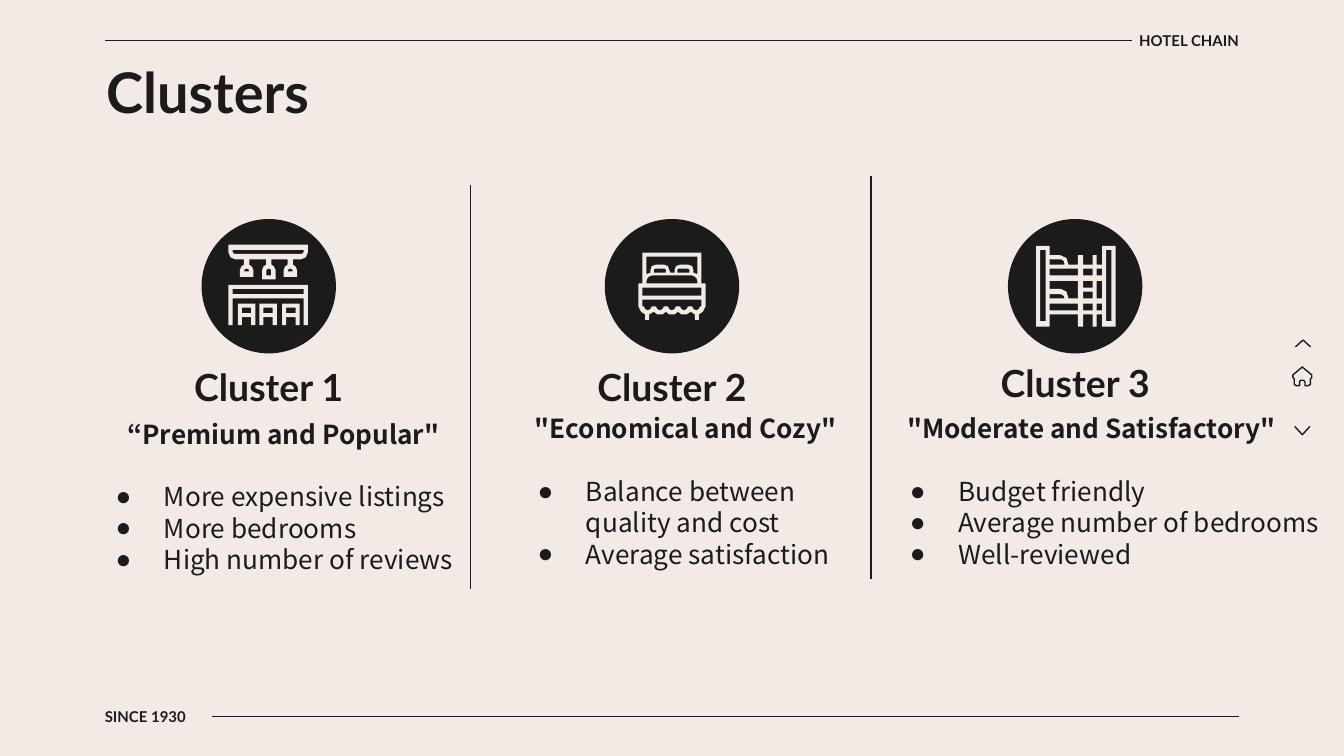
import math

import pptx
import pptx.dml.color
import pptx.enum.shapes
import pptx.enum.text
import pptx.oxml
import pptx.oxml.ns
import pptx.util
from pptx.util import Inches

SHAPE = pptx.enum.shapes.MSO_SHAPE
ALIGN = pptx.enum.text.PP_ALIGN
ANCHOR = pptx.enum.text.MSO_ANCHOR
LEFT_SIDE, RIGHT_SIDE = 1, 3


def rgb(value):
    return pptx.dml.color.RGBColor.from_string(value)


def xml(tag, content=""):
    namespace = pptx.oxml.ns.nsdecls("a")
    return pptx.oxml.parse_xml(f"<a:{tag} {namespace}>{content}</a:{tag.split()[0]}>")


class Deck:
    ink, paper = "1B1B1B", "F4EAE5"
    heading_font, body_font = "Lato", "Noto Sans CJK KR"
    body_size, body_pitch = 14, 16.8

    def __init__(self):
        self.file = pptx.Presentation()
        self.file.slide_width = Inches(10)
        self.file.slide_height = Inches(10) * 9 // 16
        self.slide = self.file.slides.add_slide(self.file.slide_layouts[4])
        self.slide.background.fill.solid()
        self.slide.background.fill.fore_color.rgb = rgb(self.paper)

    def frame(self, shape, anchor):
        frame = shape.text_frame
        frame.word_wrap = True
        frame.auto_size = pptx.enum.text.MSO_AUTO_SIZE.NONE
        frame.vertical_anchor = anchor
        frame.margin_left = frame.margin_right = 0
        frame.margin_top = frame.margin_bottom = 0
        return frame

    def place(self, shape, left, top, width, height):
        shape.left, shape.top = Inches(left), Inches(top)
        shape.width, shape.height = Inches(width), Inches(height)

    def run(self, paragraph, text, font, size, bold):
        run = paragraph.add_run()
        run.text = text
        run.font.name, run.font.size = font, pptx.util.Pt(size)
        run.font.bold, run.font.color.rgb = bold, rgb(self.ink)

    def title(self, text, *box):
        title = self.slide.shapes.title
        self.place(title, *box)
        paragraph = self.frame(title, ANCHOR.TOP).paragraphs[0]
        paragraph.alignment = ALIGN.LEFT
        self.run(paragraph, text, self.heading_font, 30, True)

    def label(self, text, box, size, align):
        label = self.slide.shapes.add_textbox(*map(Inches, box))
        paragraph = self.frame(label, ANCHOR.MIDDLE).paragraphs[0]
        paragraph.alignment = align
        self.run(paragraph, text, self.heading_font, size, True)
        return label

    def profile(self, index, box, name, traits, align, indent):
        """Fill a body placeholder with a bold name and its bulleted traits."""
        body = self.slide.placeholders[index]
        self.place(body, *box)
        frame = self.frame(body, ANCHOR.TOP)
        for row, text in enumerate([name, *traits]):
            paragraph = frame.add_paragraph() if row else frame.paragraphs[0]
            settings = paragraph._p.get_or_add_pPr()
            settings.set("marL", str(Inches(0.5 if row else indent)))
            settings.set("indent", str(Inches(-0.36 if row else 0)))
            if row:
                settings.append(xml("buClr", f'<a:srgbClr val="{self.ink}"/>'))
                settings.append(xml('buChar char="●"'))
            else:
                settings.append(xml("buNone"))
            paragraph.alignment = ALIGN.LEFT if row else align
            paragraph.line_spacing = pptx.util.Pt(self.body_pitch)
            paragraph.space_before = pptx.util.Pt(self.body_pitch if row == 1 else 0)
            paragraph.space_after = pptx.util.Pt(0)
            self.run(paragraph, text, self.body_font, self.body_size, row == 0)

    def line(self, x1, y1, x2, y2):
        line = self.slide.shapes.add_connector(
            pptx.enum.shapes.MSO_CONNECTOR.STRAIGHT, *map(Inches, (x1, y1, x2, y2)))
        self.stroke(line)
        line._element.spPr.append(xml("effectLst"))
        return line

    def stroke(self, shape):
        shape.line.color.rgb = rgb(self.ink)
        shape.line.width = pptx.util.Pt(0.75)

    def paint(self, shape, fill=None):
        """Fill a shape without an edge, or only outline it if there is no fill."""
        shape.shadow.inherit = False
        if fill:
            shape.fill.solid()
            shape.fill.fore_color.rgb = rgb(fill)
            shape.line.fill.background()
        else:
            shape.fill.background()
            self.stroke(shape)
        return shape

    def disc(self, left, top, size):
        disc = self.slide.shapes.add_shape(SHAPE.OVAL, *map(Inches, (left, top, size, size)))
        self.paint(disc, self.ink)

    def chevron(self, left, top, width, height, rotation):
        chevron = self.slide.shapes.add_shape(
            SHAPE.CHEVRON, *map(Inches, (left, top, width, height)))
        chevron.adjustments[0] = 1
        chevron.rotation = rotation
        self.paint(chevron)

    def outline(self, rings, fill=None):
        """Draw closed rings, given in hundredths of an inch, as one shape."""
        rings = [[(Inches(x / 100), Inches(y / 100)) for x, y in ring] for ring in rings]
        builder = self.slide.shapes.build_freeform(*rings[0][0])
        for number, ring in enumerate(rings):
            if number:
                builder.move_to(*ring[0])
            builder.add_line_segments(ring[1:], close=True)
        return self.paint(builder.convert_to_shape(), fill)


def rect(left, top, right, bottom, tl=0, tr=0, br=0, bl=0):
    """Ring of a rectangle whose corners have the given radii."""
    corners = [(left + tl, top + tl, tl, 180), (right - tr, top + tr, tr, 270),
               (right - br, bottom - br, br, 0), (left + bl, bottom - bl, bl, 90)]
    return [(x + r * math.cos(math.radians(start + turn)),
             y + r * math.sin(math.radians(start + turn)))
            for x, y, r, start in corners for turn in ((0, 30, 60, 90) if r else (0,))]


def table(left, right, top):
    """Rings of a table on two legs."""
    return [[(left, top), (left, 242), (left + 3, 242), (left + 3, top + 10),
             (right - 3, top + 10), (right - 3, 242), (right, 242), (right, top)],
            rect(left + 3, top + 3, right - 3, top + 7)]


def lamps():
    rail = [(170, 182), (170, 188), (171.5, 191.5), (175, 193)]
    holes = [rect(173, 186, 226, 189, br=2, bl=2)]
    for x, bottom, opening in ((183.5, 206, 202), (200, 208, 205), (216, 206, 202)):
        half = [(2, 193), (2, 197), (4, 198.5), (5, 201), (5, bottom)]
        rail += [(x - dx, y) for dx, y in half]
        rail += [(x + dx, y) for dx, y in reversed(half)]
        holes.append(rect(x - 1.8, 200, x + 1.8, opening, tl=1.5, tr=1.5))
    return [rail + [(224, 193), (227.5, 191.5), (229, 188), (229, 182)], *holes]


def double_bed():
    frame = [(478, 188), (522, 188), (522, 211), (525, 211), (525, 228), (523, 232),
             (520, 234), (520, 238), (517, 238), (517, 234), (514, 232)]
    for x in (509, 500, 491):
        frame += [(x + 2, 234), (x - 2, 234), (x - 4.5, 232)]
    frame += [(483, 234), (483, 238), (480, 238), (480, 234), (477, 232),
              (475, 228), (475, 211), (478, 211)]
    headboard = [(481, 191), (519, 191), (519, 204), (516, 203)]
    for x in (509, 491):
        headboard += [(x + 7, 201), (x + 6, 198), (x + 3, 197),
                      (x - 3, 197), (x - 6, 198), (x - 7, 201), (x - 7, 203)]
        headboard.append((x - 10, 203 if x > 500 else 204))
    valance = [(478, 223), (522, 223), (522, 228)]
    for x in range(518, 481, -9):
        valance += [(x + 3, 228), (x + 2, 230), (x, 231), (x - 2, 230), (x - 3, 228)]
    valance.append((478, 228))
    pillows = [rect(x - 4.5, 200, x + 4.5, 203, tl=1, tr=1) for x in (491, 508.5)]
    return [frame, headboard, *pillows, rect(481, 205, 519, 211, tl=4.5, tr=4.5),
            rect(478, 214, 522, 220), valance]


def bunk_bed():
    frame = [(771, 183), (771, 243), (781, 243), (781, 234), (802, 234), (802, 243),
             (806, 243), (806, 234), (813, 234), (813, 243), (816, 243), (816, 234),
             (820, 234), (820, 243), (830, 243), (830, 183), (820, 183), (820, 197),
             (816, 197), (816, 190), (813, 190), (813, 197), (806, 197), (806, 190),
             (802, 190), (802, 197), (795, 197), (793.5, 192), (789, 190),
             (781, 190), (781, 183)]
    above_pillow = [(781, 209), (802, 209), (802, 222), (795, 222), (793.5, 217),
                    (789, 215), (781, 215)]
    holes = [rect(left, 186, left + 4, 239) for left in (774, 823)]
    holes += [rect(781, top, 792, bottom, tr=3) for top, bottom in ((193, 197), (219, 222))]
    holes += [rect(781, top, 802, top + 5) for top in (200, 226)]
    holes += [rect(806, top, 813, top + 5) for top in (200, 209, 217, 226)]
    holes += [rect(816, top, 820, bottom) for top, bottom in ((200, 205), (209, 222), (226, 231))]
    return [frame, above_pillow, *holes]


def home():
    right = [(970, 274), (976, 279), (976, 281), (975, 282), (975, 286), (973.5, 287),
             (971, 287), (971, 284), (970, 283)]
    return [[(969, 273), *right, *((1938 - x, y) for x, y in reversed(right))]]


deck = Deck()
deck.title("Clusters", 0.79, 0.43, 8.43, 0.5)

header = deck.label("HOTEL CHAIN", (8.42, 0.22, 0.8, 0.16), 8, ALIGN.RIGHT)
deck.line(8.42, 0.3, 0.78, 0.3).begin_connect(header, LEFT_SIDE)
footer = deck.label("SINCE 1930", (0.78, 5.25, 0.8, 0.16), 8, ALIGN.LEFT)
deck.line(1.58, 5.33, 9.22, 5.33).begin_connect(footer, RIGHT_SIDE)

clusters = [
    (2.63, (0.72, 3.11, 2.78, 1.17), "“Premium and Popular\"", ALIGN.CENTER, 0,
     ["More expensive listings", "More bedrooms", "High number of reviews"]),
    (2.63, (3.86, 3.07, 2.42, 1.17), "\"Economical and Cozy\"", ALIGN.LEFT, 0.12,
     ["Balance between quality and cost", "Average satisfaction"]),
    (2.6, (6.63, 3.07, 3.37, 1.17), "\"Moderate and Satisfactory\"", ALIGN.LEFT, 0.12,
     ["Budget friendly", "Average number of bedrooms", "Well-reviewed"]),
]
for number, (top, box, name, align, indent, traits) in enumerate(clusters, 1):
    center = 3 * number - 1
    deck.disc(center - 0.5, 1.63, 1)
    deck.label(f"Cluster {number}", (center - 1.21, top, 2.42, 0.5), 20, ALIGN.CENTER)
    deck.profile(number, box, name, traits, align, indent)
spare = deck.slide.placeholders[4]._element
spare.getparent().remove(spare)

for x, top in ((3.5, 1.38), (6.48, 1.31)):
    deck.line(x, top, x, top + 3)

bar = [table(left, left + 13, 226) for left in (193, 210, 177)]
bar += [table(170, 229, 212), lamps()]
deck.slide.shapes.add_group_shape([deck.outline(part, deck.paper) for part in bar])
deck.outline(double_bed(), deck.paper)
deck.outline(bunk_bed(), deck.paper)

deck.outline(home())
deck.chevron(9.67, 2.5, 0.05, 0.11, 270)
deck.chevron(9.66, 3.15, 0.06, 0.11, 90)

deck.file.save("out.pptx")
